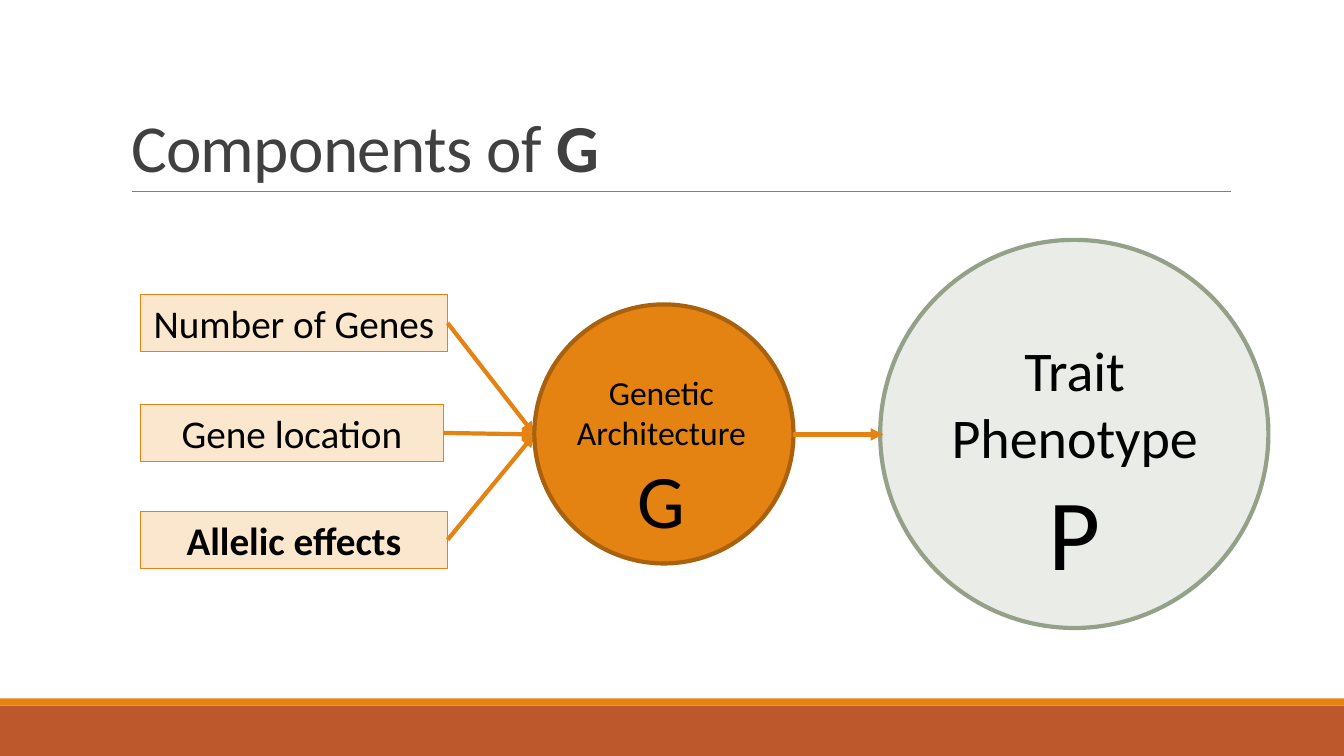
"""Build the slide on the components of G: three factors, genetic architecture, phenotype."""
from lxml.etree import SubElement
from pptx import Presentation
from pptx.dml.color import RGBColor
from pptx.enum.shapes import MSO_CONNECTOR as LINE, MSO_SHAPE as SHAPE
from pptx.enum.text import MSO_ANCHOR as ANCHOR, MSO_AUTO_SIZE as AUTO, PP_ALIGN as ALIGN
from pptx.oxml.ns import qn
from pptx.util import Inches, Pt

FONT = "Calibri"
BLACK, DARK, GREY = "000000", "404040", "808080"
ORANGE, RUST, BROWN, PEACH = "E48312", "BD582C", "A9610D", "FBE6CE"
SAGE, PALE_SAGE = "94A088", "EAECE7"

TITLE = [("Components of ", False), ("G", True)]
FACTORS = [
    ("Number of Genes", 2.92, 3.05, False),
    ("Gene location", 4.01, 3.01, False),
    ("Allelic effects", 5.07, 3.05, True),
]
ARCHITECTURE = [("Genetic", 24), ("Architecture", 24), ("G", 54)]
PHENOTYPE = [("Trait", 40), ("Phenotype", 40), ("P", 72)]
FOOTER = [(7, 0.5, RUST), (6.93, 0.07, ORANGE)]

FACTOR_LEFT, FACTOR_HEIGHT = 1.39, 0.57
G_LEFT, G_TOP, G_SIZE = 5.3, 3.02, 2.57
P_LEFT, P_TOP, P_SIZE = 8.73, 2.38, 3.85
MIDDLE = 4.31


def color(value):
    return RGBColor.from_string(value)


def add_block(kind, box, fill, line=None, width=0):
    block = slide.shapes.add_shape(kind, *map(Inches, box))
    block.shadow.inherit = False
    block.fill.solid()
    block.fill.fore_color.rgb = color(fill)
    if line:
        block.line.color.rgb = color(line)
        block.line.width = Pt(width)
    else:
        block.line.fill.background()
    return block


def add_line(start, end, line, width, arrow=False):
    connector = slide.shapes.add_connector(LINE.STRAIGHT, *map(Inches, start + end))
    connector.line.color.rgb = color(line)
    connector.line.width = Pt(width)
    if arrow:
        SubElement(connector.line._get_or_add_ln(), qn("a:tailEnd"), type="triangle")
    SubElement(connector._element.spPr, qn("a:effectLst"))
    return connector


def write(frame, lines, bold=False):
    frame.word_wrap = True
    for index, (text, size) in enumerate(lines):
        paragraph = frame.add_paragraph() if index else frame.paragraphs[0]
        paragraph.text = text
        paragraph.alignment = ALIGN.CENTER
        font = paragraph.font
        font.name, font.size, font.bold = FONT, Pt(size), bold
        font.color.rgb = color(BLACK)


def add_label(box, lines):
    write(slide.shapes.add_textbox(*map(Inches, box)).text_frame, lines)


def write_title(title):
    title.left, title.top, title.width, title.height = map(Inches, (1.2, 0.31, 11, 1.59))
    frame = title.text_frame
    frame.auto_size = AUTO.NONE
    frame.vertical_anchor = ANCHOR.BOTTOM
    paragraph = frame.paragraphs[0]
    paragraph.alignment = ALIGN.LEFT
    paragraph.line_spacing = 0.85
    for text, bold in TITLE:
        run = paragraph.add_run()
        run.text = text
        run.font.name, run.font.size, run.font.bold = FONT, Pt(48), bold
        run.font.color.rgb = color(DARK)
        run.font._element.set("spc", "-50")


deck = Presentation()
deck.slide_width, deck.slide_height = Inches(13.33), Inches(7.5)
slide = deck.slides.add_slide(deck.slide_layouts[5])
write_title(slide.shapes.title)

for top, height, fill in FOOTER:
    add_block(SHAPE.RECTANGLE, (0, top, 13.33, height), fill)
add_line((1.31, 1.9), (12.21, 1.9), GREY, 0.5)

add_block(SHAPE.OVAL, (P_LEFT, P_TOP, P_SIZE, P_SIZE), PALE_SAGE, SAGE, 3)
add_label((8.66, 3.28, 4, 2.66), PHENOTYPE)

for name, top, width, bold in FACTORS:
    factor = add_block(SHAPE.RECTANGLE, (FACTOR_LEFT, top, width, FACTOR_HEIGHT),
                       PEACH, ORANGE, 0.75)
    write(factor.text_frame, [(name, 28)], bold)
    side = (FACTOR_LEFT + width, top + FACTOR_HEIGHT / 2)
    add_line(side, (G_LEFT, MIDDLE), ORANGE, 3, arrow=True).begin_connect(factor, 3)

add_block(SHAPE.OVAL, (G_LEFT, G_TOP, G_SIZE, G_SIZE), ORANGE, BROWN, 3)
add_label((5.53, 3.64, 2.06, 1.82), ARCHITECTURE)
add_line((G_LEFT + G_SIZE, MIDDLE), (8.76, MIDDLE), ORANGE, 3, arrow=True)

deck.save("out.pptx")
